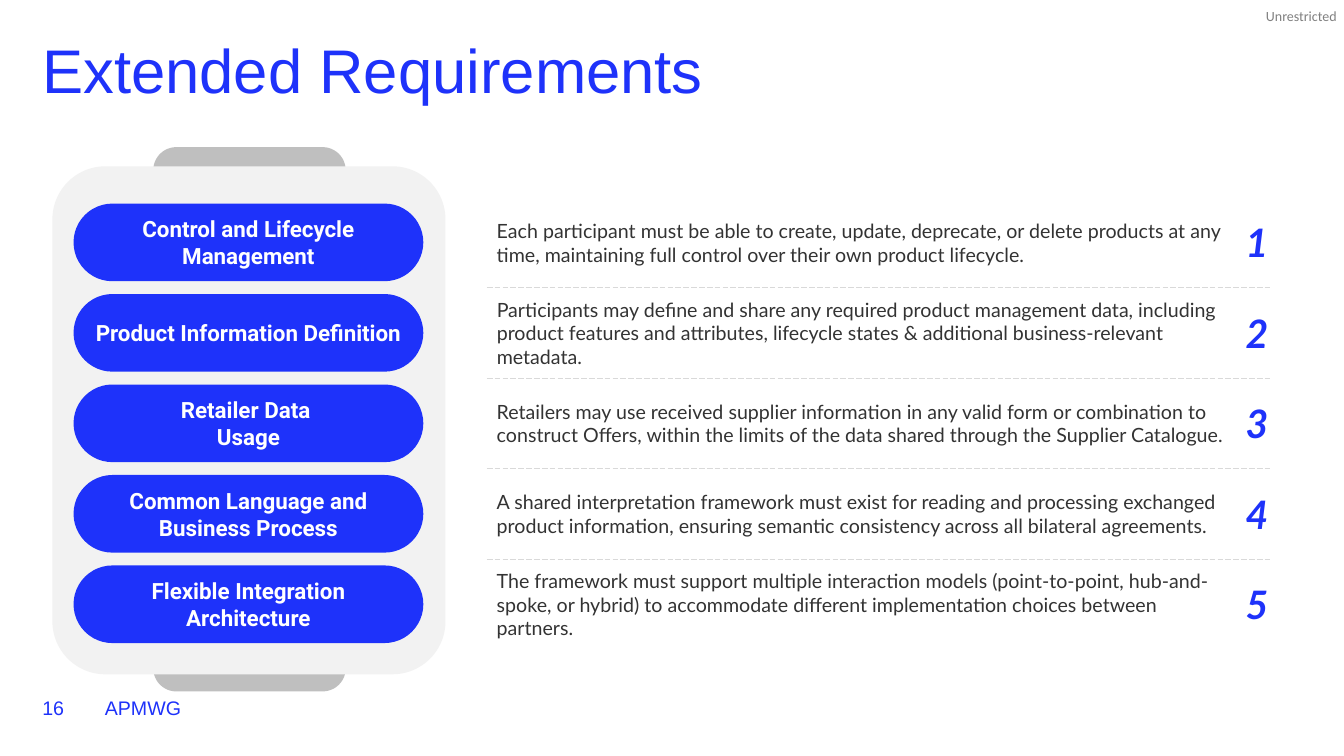
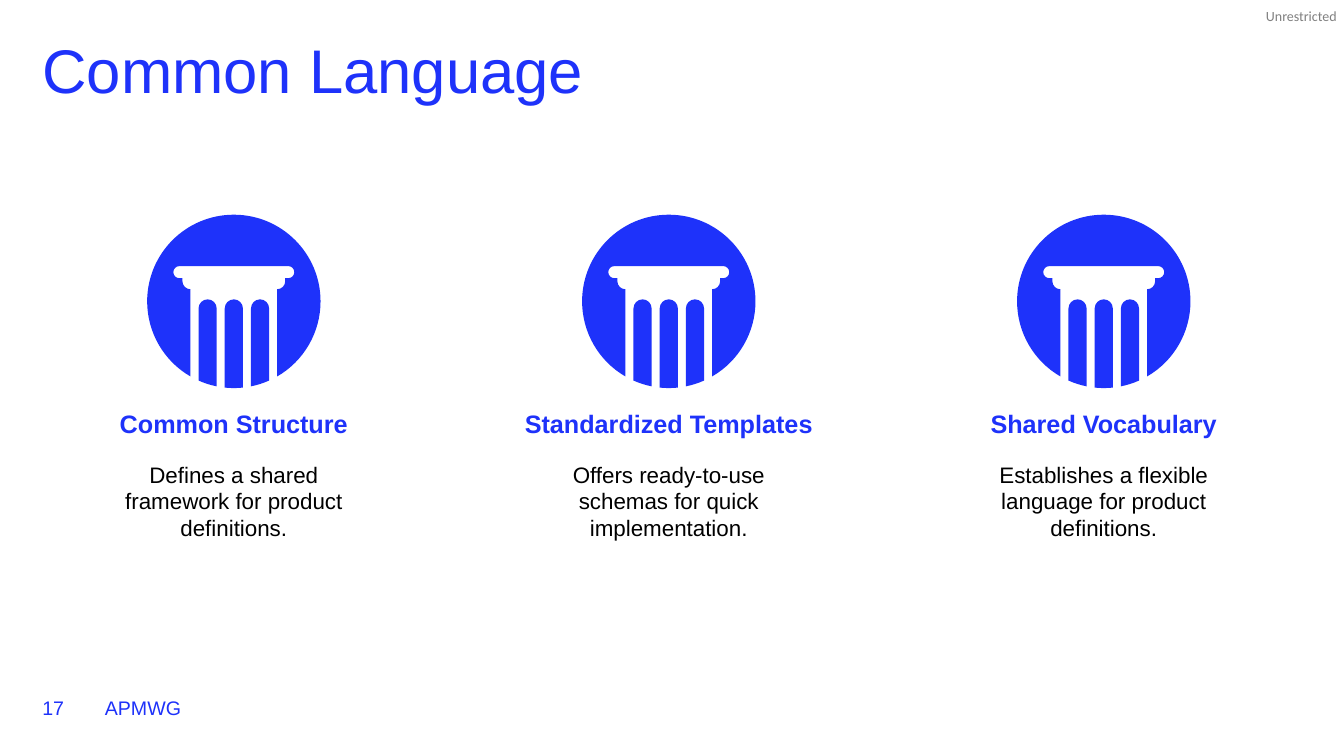
from dataclasses import dataclass
from math import acos, cos, degrees, radians, sin, tan

from lxml.etree import SubElement
from pptx import Presentation
from pptx.dml.color import RGBColor
from pptx.enum.dml import MSO_LINE
from pptx.enum.shapes import MSO_CONNECTOR, MSO_SHAPE
from pptx.enum.text import MSO_ANCHOR, MSO_AUTO_SIZE, PP_ALIGN
from pptx.oxml.ns import qn
from pptx.util import Inches, Pt


@dataclass(frozen=True)
class Theme:
    # Colours
    blue: str = "1E32FA"
    white: str = "FFFFFF"
    black: str = "000000"
    text: str = "333333"
    panel: str = "F2F2F2"
    clip: str = "BFBFBF"
    rule: str = "D9D9D9"
    # Type sizes
    title: int = 44
    digit: int = 28
    head: int = 18
    label: int = 16
    small: int = 14
    tag: int = 10


T = Theme()
TOP, MIDDLE, BOTTOM = MSO_ANCHOR.TOP, MSO_ANCHOR.MIDDLE, MSO_ANCHOR.BOTTOM
LEFT, CENTER = PP_ALIGN.LEFT, PP_ALIGN.CENTER


def write(frame, text, size, color, font="Arial", bold=False, italic=False, alpha=None,
          align=LEFT, anchor=TOP, inset=None, wrap=True, grow=False, space=None):
    """Fill a text frame with one paragraph in the given format."""
    frame.word_wrap = wrap
    frame.auto_size = MSO_AUTO_SIZE.SHAPE_TO_FIT_TEXT if grow else MSO_AUTO_SIZE.NONE
    frame.vertical_anchor = anchor
    if inset is not None:
        frame.margin_left = frame.margin_right = Inches(inset)
        frame.margin_top = frame.margin_bottom = Inches(inset)
    para = frame.paragraphs[0]
    para.text = text
    para.alignment = align
    if space:
        para.line_spacing = space
    for run in para.runs:
        run.font.name = font
        run.font.size = Pt(size)
        run.font.bold = bold
        run.font.italic = italic
        run.font.color.rgb = RGBColor.from_string(color)
        if alpha:
            for clr in run._r.iter(qn("a:srgbClr")):
                SubElement(clr, qn("a:alpha"), val=str(alpha * 1000))


def arc(x, y, r, start, end):
    """Steps of an arc: its first point, then one curve per quadrant."""
    low, high = sorted((start, end))
    turns = [start, *sorted((a for a in range(-270, 361, 90) if low < a < high),
                            reverse=start > end), end]
    turns = [radians(a) for a in turns]
    steps = [[(x + r * cos(turns[0]), y + r * sin(turns[0]))]]
    for a, b in zip(turns, turns[1:]):
        k = 4 / 3 * tan((b - a) / 4)
        steps.append([(x + r * (cos(a) - k * sin(a)), y + r * (sin(a) + k * cos(a))),
                      (x + r * (cos(b) + k * sin(b)), y + r * (sin(b) - k * cos(b))),
                      (x + r * cos(b), y + r * sin(b))])
    return steps


def pillar(r=0.86):
    """Outlines of a fluted column inside a disc centred on zero."""
    disc = (arc(0, 0, r, 60, -240)
            + arc(-0.43, -0.2, 0.08, 90, 180) + [[(-0.51, -0.23)]]
            + arc(-0.54, -0.29, 0.06, 90, 270)
            + arc(0.54, -0.29, 0.06, -90, 90) + [[(0.51, -0.23)]]
            + arc(0.43, -0.2, 0.08, 0, 90))
    flutes = []
    for x in (0.26, 0, -0.26):
        ends = [degrees(acos((x + side) / r)) for side in (0.09, -0.09)]
        flutes.append(arc(x, 0.07, 0.09, 180, 360) + arc(0, 0, r, *ends))
    return [disc] + flutes


class Deck:
    def __init__(self):
        self.prs = Presentation()
        self.prs.slide_width = Inches(40 / 3)
        self.prs.slide_height = Inches(7.5)
        self.shapes = self.slide = None

    def page(self, title, number):
        """Start a slide with its title and footer."""
        layout = self.prs.slide_layouts[5]
        self.slide = self.prs.slides.add_slide(layout)
        self.shapes = self.slide.shapes
        head = self.shapes.title
        head.left, head.top = Inches(0.42), Inches(0.4)
        head.width, head.height = Inches(12.5), Inches(0.67)
        write(head.text_frame, title, T.title, T.blue, inset=0, space=0.9)
        # The tag lives on the layout, shared by every slide
        if len(self.prs.slides) == 1:
            tag = self.text(12.56, 0.07, 0.74, 0.17, "Unrestricted", size=T.tag, alpha=50,
                            color=T.black, font="Calibri", inset=0, grow=True)
            layout.shapes.element.append(tag.element)
        foot = dict(size=T.small, color=T.blue, anchor=BOTTOM, inset=0)
        self.text(1.04, 6.74, 5.41, 0.4, "APMWG", **foot)
        self.text(0.42, 6.74, 0.5, 0.4, str(number), **foot)

    def group(self):
        """Send the next elements to a new group."""
        self.shapes = self.slide.shapes.add_group_shape().shapes

    def text(self, x, y, w, h, text, **style):
        box = self.shapes.add_textbox(Inches(x), Inches(y), Inches(w), Inches(h))
        write(box.text_frame, text, **style)
        return box

    def paint(self, shape, fill):
        shape.shadow.inherit = False
        shape.fill.solid()
        shape.fill.fore_color.rgb = RGBColor.from_string(fill)
        shape.line.fill.background()

    def box(self, x, y, w, h, fill, curve=0, text=None, **style):
        shape = self.shapes.add_shape(MSO_SHAPE.ROUNDED_RECTANGLE, Inches(x), Inches(y),
                                      Inches(w), Inches(h))
        shape.adjustments[0] = curve
        self.paint(shape, fill)
        if text:
            write(shape.text_frame, text, anchor=MIDDLE, **style)

    def rule(self, x, y, end):
        line = self.shapes.add_connector(
            MSO_CONNECTOR.STRAIGHT, Inches(x), Inches(y), Inches(end), Inches(y))
        line.line.color.rgb = RGBColor.from_string(T.rule)
        line.line.width = Pt(0.5)
        line.line.dash_style = MSO_LINE.LONG_DASH
        SubElement(line.element.spPr, qn("a:effectLst"))

    def icon(self, x, y, paths, fill):
        """Draw closed outlines as one shape centred on x, y."""
        paths = [[[(Inches(x + a), Inches(y + b)) for a, b in step] for step in path]
                 for path in paths]
        form = self.shapes.build_freeform(*paths[0][0][-1])
        for i, path in enumerate(paths):
            if i:
                form.move_to(*path[0][-1])
            form.add_line_segments([step[-1] for step in path[1:]], close=True)
        shape = form.convert_to_shape()
        # Bend the three-point steps into curves
        curves = [step for path in paths for step in path[1:]]
        for node, step in zip(list(shape.element.iter(qn("a:lnTo"))), curves):
            if len(step) == 3:
                node.tag = qn("a:cubicBezTo")
                node.remove(node[0])
                for a, b in step:
                    SubElement(node, qn("a:pt"), x=str(a - shape.left), y=str(b - shape.top))
        self.paint(shape, fill)


NEEDS = [
    ("Control and Lifecycle Management", 7.43,
     "Each participant must be able to create, update, deprecate, or delete products "
     "at any time, maintaining full control over their own product lifecycle."),
    ("Product Information Definition", 7.69,
     "Participants may define and share any required product management data, including "
     "product features and attributes, lifecycle states & additional business-relevant "
     "metadata."),
    ("Retailer Data \nUsage", 7.43,
     "Retailers may use received supplier information in any valid form or combination to "
     "construct Offers, within the limits of the data shared through the Supplier Catalogue."),
    ("Common Language and Business Process", 7.43,
     "A shared interpretation framework must exist for reading and processing exchanged "
     "product information, ensuring semantic consistency across all bilateral agreements."),
    ("Flexible Integration Architecture", 7.43,
     "The framework must support multiple interaction models (point-to-point, hub-and-spoke, "
     "or hybrid) to accommodate different implementation choices between partners."),
]

PILLARS = [
    ("Common Structure", 2.71, "Defines a shared framework for product definitions.", 2.64),
    ("Standardized Templates", 3.16,
     "Offers ready-to-use schemas for quick implementation.", 2.56),
    ("Shared Vocabulary", 2.63,
     "Establishes a flexible language for product definitions.", 2.7),
]


def needs(deck):
    deck.page("Extended Requirements", 16)
    # Clipboard
    deck.box(1.52, 1.46, 1.91, 5.4, T.clip, curve=0.12)
    deck.box(0.52, 1.65, 3.9, 5.04, T.panel, curve=0.135)
    # Rows, first and last fixed
    top, last, high = 2.02, 5.61, 0.77
    step = (last - top) / (len(NEEDS) - 1)
    rows = [top + i * step for i in range(len(NEEDS))]
    for y, (name, _, _) in zip(rows, NEEDS):
        deck.box(0.73, y, 3.47, high, T.blue, curve=0.5, text=name, size=T.label,
                 color=T.white, font="Roboto", bold=True, align=CENTER)
    for y, (_, wide, detail) in zip(rows, NEEDS):
        deck.box(4.83, y, wide, high, T.white, text=detail, size=T.small,
                 color=T.text, font="Lato")
    # Rules halfway across each gap
    for y in rows[1:]:
        deck.rule(4.83, y - (step - high) / 2, 12.6)
    for i, y in enumerate(rows, 1):
        deck.text(12.26, y + 0.1, 0.43, 0.57, str(i), size=T.digit, color=T.blue,
                  font="Lato", bold=True, italic=True, wrap=False, grow=True)


def pillars(deck):
    deck.page("Common Language", 17)
    # Columns, first and last fixed
    first, last = 2.32, 10.95
    for i, (name, wide, detail, slim) in enumerate(PILLARS):
        x = first + i * (last - first) / 2
        deck.group()
        deck.icon(x, 2.99, pillar(), T.blue)
        deck.text(x - wide / 2, 4.05, wide, 0.3, name, size=T.head, color=T.blue,
                  bold=True, align=CENTER, inset=0, grow=True)
        deck.text(x - slim / 2, 4.57, slim, 0.81, detail, size=T.label, color=T.black,
                  align=CENTER, inset=0, grow=True)


def main():
    deck = Deck()
    needs(deck)
    pillars(deck)
    deck.prs.save("out.pptx")


if __name__ == "__main__":
    main()
